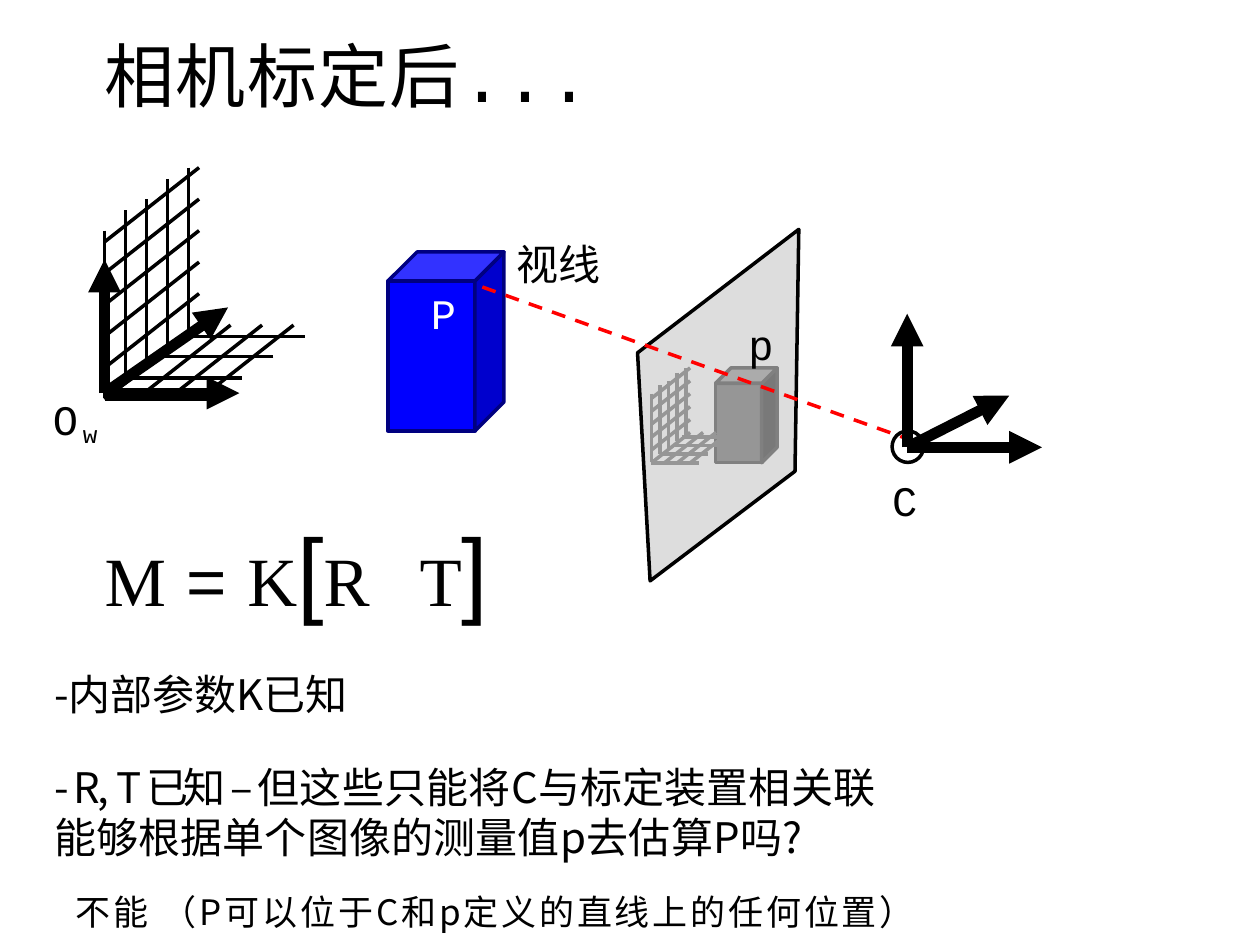
from pptx import Presentation
from pptx.dml.color import RGBColor
from pptx.enum.dml import MSO_LINE_DASH_STYLE as Dash
from pptx.enum.shapes import MSO_CONNECTOR as Conn, MSO_SHAPE as Shape
from pptx.enum.text import MSO_ANCHOR, MSO_AUTO_SIZE, PP_ALIGN
from pptx.oxml.ns import qn
from pptx.util import Inches, Pt
from lxml.etree import SubElement

COLORS = {"ink": "000000", "white": "FFFFFF", "plane": "C0C0C0", "ray": "FF0000",
          "front": "0000FF", "side": "0000CD", "top": "3232FF", "edge": "000080",
          "img_front": "969696", "img_side": "797979", "img_top": "ABABAB",
          "img_edge": "808080", "img_grid": "969696"}
MONO, SANS, SERIF, CJK = "Courier New", "Arial", "Times New Roman", "Noto Sans CJK SC"

# Runs: text, font, size, letter spacing
TITLE = [("相机标定后", MONO, 40, 0.8), ("...", MONO, 40, 1)]
# Paragraphs: left indent, space before, runs
BODY = [
    (0.41, 0, [("M ", SERIF, 39.5, 0.8), ("= ", SANS, 39.5, 0.5), ("K", SERIF, 39.5, -2.5),
               ("[", SANS, 54.5, -2.5), ("R\t", SERIF, 39.5, -2.5),
               ("T", SERIF, 39.5, -2.2), ("]", SANS, 54.5, -2.2)]),
    (0.01, 24.2, [("-内部参数K已知", CJK, 24, 0)]),
    (0.01, 24.2, [("- R, ", CJK, 24, -1.4), ("T 已知 ", CJK, 24, -2.6), ("–", CJK, 24, 2.8),
                  ("但这些只能将C与标定装置相关联", CJK, 24, 0.1)]),
    (0.01, 0, [("能够根据单个图像的测量值p去估算P吗", CJK, 24, 0.1), ("?", CJK, 24, 0)]),
    (0.18, 16.5, [("不能 （P可以位于C和p定义的直线上的任何位置）", CJK, 20, 1.6)]),
]
# Labels: box, colour, runs
LABELS = [
    ((0.42, 3.11, 0.5, 0.43), "ink", [("O", MONO, 24, 2.8), ("w", MONO, 24, 1.1)]),
    ((3.42, 2.27, 0.21, 0.43), "white", [("P", MONO, 24, -3)]),
    ((5.94, 2.52, 0.23, 0.43), "ink", [("p", MONO, 24, 1)]),
    ((4.1, 2.05, 0.96, 0.26), "ink", [("视线", CJK, 24, 0)]),
    ((7.08, 3.76, 0.25, 0.46), "ink", [("C", MONO, 24, -0.6)]),
]
PLANE = [(6.34, 1.82), (5.06, 2.8), (5.16, 4.61), (6.31, 3.74)]
CUBE_FACES = {"front": [(0, 0.23), (0.69, 0.23), (0.69, 1.42), (0, 1.42)],
              "side": [(0.92, 0), (0.69, 0.23), (0.69, 1.42), (0.92, 1.19)],
              "top": [(0.92, 0), (0.23, 0), (0, 0.23), (0.69, 0.23)]}
# Axes: origin, tips
AXES = [((7.2, 3.55), [(7.2, 2.49), (8.01, 3.14), (8.27, 3.55)]),
        ((0.83, 3.12), [(0.83, 2.06), (1.81, 2.44), (1.9, 3.12)])]
# Calibration rig, measured from its top left corner
WALL_TOPS = [0.5, 0.34, 0.25, 0.09, 0]
FLOOR_ROWS = [(0, 1.84), (0.17, 1.67), (0.42, 1.5), (0.59, 1.34), (0.67, 1.34)]
RIG = ([((i / 6, y), (i / 6, y + 1.33)) for i, y in enumerate(WALL_TOPS)]
       + [((0.75, i / 4), (0, i / 4 + 0.59)) for i in range(6)]
       + [((0.75 + i / 4, 1.25), (i / 4, 1.84)) for i in (1, 2, 3)]
       + [((x + 0.92, y), (x, y)) for x, y in FLOOR_ROWS])


def rgb(name):
    return RGBColor.from_string(COLORS[name])


def add_runs(p, runs, color="ink"):
    for text, face, size, spacing in runs:
        r = p.add_run()
        r.text = text
        for key, value in {"name": face, "size": Pt(size), "bold": False}.items():
            setattr(r.font, key, value)
        r.font.color.rgb = rgb(color)
        rPr = r.font._element
        rPr.set("spc", str(round(spacing * 100)))
        SubElement(rPr, qn("a:ea")).set("typeface", CJK)
        if text == "w":
            rPr.set("baseline", "-19000")


def setup_frame(sp, box, top):
    sp.left, sp.top, sp.width, sp.height = map(Inches, box)
    tf = sp.text_frame
    for key, value in {"word_wrap": True, "auto_size": MSO_AUTO_SIZE.NONE,
                       "vertical_anchor": MSO_ANCHOR.TOP, "margin_left": 0, "margin_right": 0,
                       "margin_top": Inches(top), "margin_bottom": 0}.items():
        setattr(tf, key, value)
    return tf


def add_text(s, box, top=0.01):
    return setup_frame(s.shapes.add_textbox(0, 0, 0, 0), box, top)


def add_polygon(s, points, fill, edge):
    pts = [(Inches(x), Inches(y)) for x, y in points]
    builder = s.shapes.build_freeform(*pts[0], scale=1.0)
    builder.add_line_segments(pts[1:], close=True)
    sp = builder.convert_to_shape()
    sp.shadow.inherit = False
    sp.fill.solid()
    sp.fill.fore_color.rgb = rgb(fill)
    sp.line.color.rgb = rgb(edge)
    sp.line.width = Pt(2)
    return sp


def add_line(s, start, end, color="ink", width=2):
    c = s.shapes.add_connector(Conn.STRAIGHT, *map(Inches, (*start, *end)))
    c.line.color.rgb = rgb(color)
    c.line.width = Pt(width)
    SubElement(c._element.spPr, qn("a:effectLst"))
    return c


def place(point, origin, scale):
    return tuple(o + v * scale for o, v in zip(origin, point))


def add_cube(s, origin, scale=1, prefix=""):
    for face, points in CUBE_FACES.items():
        add_polygon(s, [place(pt, origin, scale) for pt in points],
                    prefix + face, prefix + "edge")


def add_rig(s, origin, scale=1, color="ink"):
    for start, end in RIG:
        add_line(s, place(start, origin, scale), place(end, origin, scale), color)


def add_scene(s):
    plane = add_polygon(s, PLANE, "plane", "ink")
    clr = plane._element.spPr.find(qn("a:solidFill"))[0]
    SubElement(clr, qn("a:alpha")).set("val", "53000")
    add_cube(s, (3.08, 2))
    add_cube(s, (5.68, 2.92), 0.53, "img_")
    add_line(s, (7.25, 3.5), (3.75, 2.25), "ray").line.dash_style = Dash.DASH
    eye = s.shapes.add_shape(Shape.OVAL, *map(Inches, (7.08, 3.42, 0.25, 0.25)))
    eye.shadow.inherit = False
    eye.fill.background()
    eye.line.color.rgb = rgb("ink")
    eye.line.width = Pt(2)
    add_rig(s, (0.83, 1.33))
    for origin, tips in AXES:
        for tip in tips:
            axis = add_line(s, origin, tip, width=6.25)
            SubElement(axis.line._get_or_add_ln(), qn("a:tailEnd")).set("type", "triangle")
    add_rig(s, (5.17, 2.92), 0.41, "img_grid")


def add_body(s):
    tf = add_text(s, (0.42, 3.92, 8.74, 3.58), 0.14)
    for i, (indent, before, runs) in enumerate(BODY):
        p = tf.add_paragraph() if i else tf.paragraphs[0]
        pPr = p._p.get_or_add_pPr()
        pPr.set("marL", str(Inches(indent)))
        pPr.set("indent", "0")
        if before:
            p.space_before = Pt(before)
        if any("\t" in run[0] for run in runs):
            tab = SubElement(SubElement(pPr, qn("a:tabLst")), qn("a:tab"))
            tab.set("pos", str(Inches(2.83)))
            tab.set("algn", "l")
        add_runs(p, runs)


def main():
    prs = Presentation()
    prs.slide_width, prs.slide_height = Inches(10), Inches(7.5)
    s = prs.slides.add_slide(prs.slide_layouts[5])
    p = setup_frame(s.shapes.title, (0.83, 0.25, 8.18, 0.69), 0.01).paragraphs[0]
    p.alignment = PP_ALIGN.LEFT
    p.space_before = Pt(0)
    add_runs(p, TITLE)
    add_body(s)
    add_scene(s)
    for box, color, runs in LABELS:
        p = add_text(s, box).paragraphs[0]
        if runs[0][1] == CJK:
            p.line_spacing = Pt(16.7)
        add_runs(p, runs, color)
    prs.save("out.pptx")


if __name__ == "__main__":
    main()
